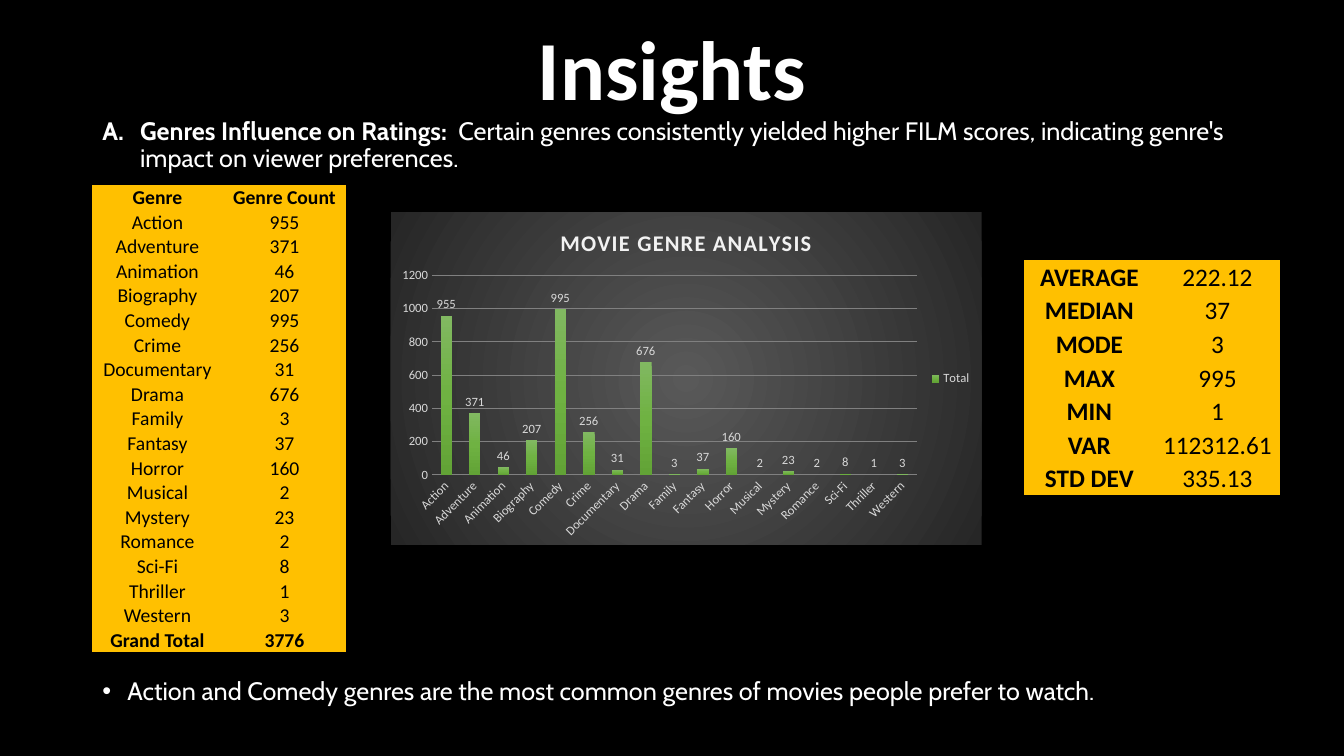
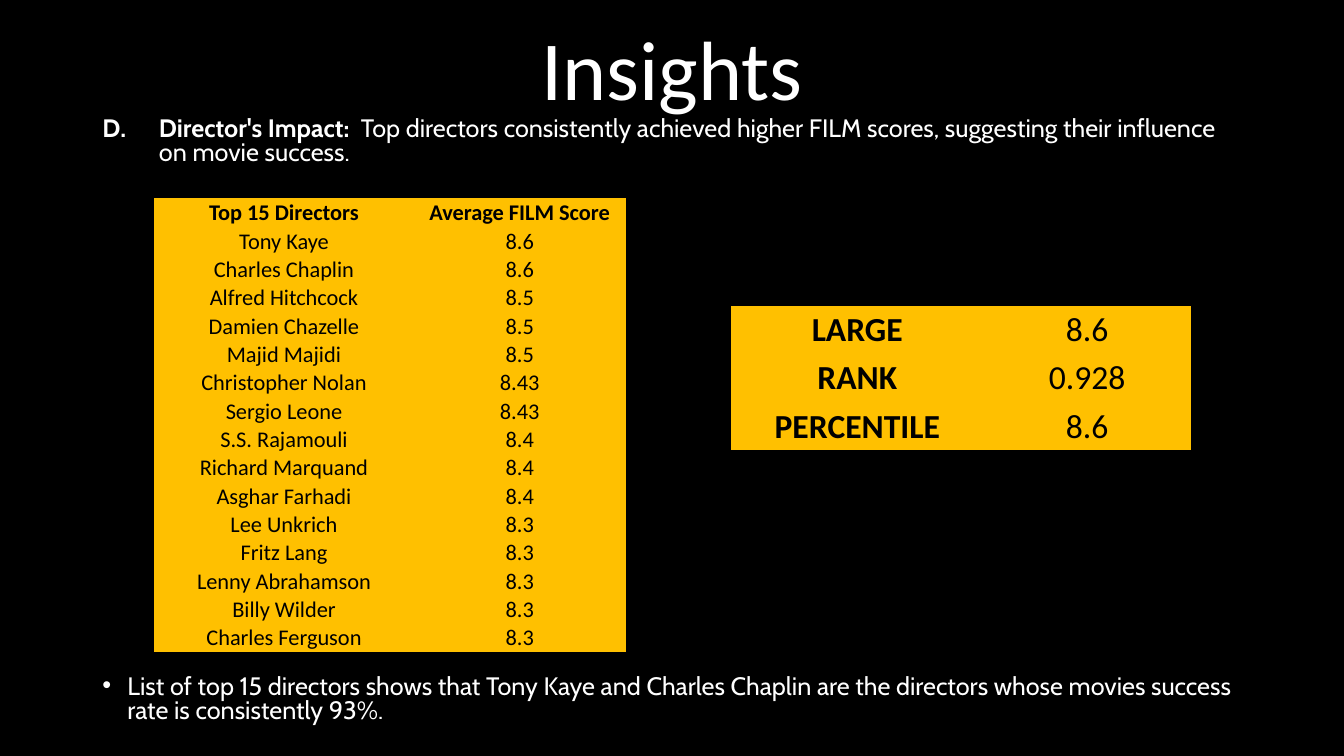
from dataclasses import dataclass
from typing import Any

from lxml import etree
from pptx import Presentation, util as u
from pptx.chart.data import CategoryChartData
from pptx.dml.color import RGBColor
from pptx.enum import chart as charts, text
from pptx.oxml import ns

EMU_PER_PX = 9525
SLIDE_SIZE = (1280, 720)
TITLE_BOX = (88, 0, 1104, 139)
BODY_BOX = (88, 108, 1104, 594)
CHART_BOX = (372, 202, 563, 317)

BLACK = RGBColor(0x00, 0x00, 0x00)
WHITE = RGBColor(0xFF, 0xFF, 0xFF)
AMBER = RGBColor(0xFF, 0xC0, 0x00)
GRID_GREY = RGBColor(0x80, 0x80, 0x80)
LABEL_GREY = RGBColor(0xD9, 0xD9, 0xD9)
TITLE_GREY = RGBColor(0xF2, 0xF2, 0xF2)
BAR_STOPS = {
    0: RGBColor(0x81, 0xB8, 0x61),
    50: RGBColor(0x6F, 0xB2, 0x42),
    100: RGBColor(0x62, 0xA3, 0x36),
}
CHART_STOPS = {0: RGBColor(0x59, 0x59, 0x59), 100: RGBColor(0x26, 0x26, 0x26)}

HEADING_FONT = "Calibri"
BODY_FONT = "Cabin"
NO_GRID_STYLE = "{2D5ABB26-0587-4C30-8999-92F81FD0307C}"

GENRES = {
    "Action": 955, "Adventure": 371, "Animation": 46, "Biography": 207,
    "Comedy": 995, "Crime": 256, "Documentary": 31, "Drama": 676,
    "Family": 3, "Fantasy": 37, "Horror": 160, "Musical": 2, "Mystery": 23,
    "Romance": 2, "Sci-Fi": 8, "Thriller": 1, "Western": 3,
}
DIRECTORS = {
    "Tony Kaye": "8.6", "Charles Chaplin": "8.6", "Alfred Hitchcock": "8.5",
    "Damien Chazelle": "8.5", "Majid Majidi": "8.5",
    "Christopher Nolan": "8.43", "Sergio Leone": "8.43",
    "S.S. Rajamouli": "8.4", "Richard Marquand": "8.4",
    "Asghar Farhadi": "8.4", "Lee Unkrich": "8.3", "Fritz Lang": "8.3",
    "Lenny Abrahamson": "8.3", "Billy Wilder": "8.3",
    "Charles Ferguson": "8.3",
}
GENRE_STATISTICS = {
    "AVERAGE": "222.12", "MEDIAN": "37", "MODE": "3", "MAX": "995",
    "MIN": "1", "VAR": "112312.61", "STD DEV": "335.13",
}
DIRECTOR_STATISTICS = {"LARGE": "8.6", "RANK": "0.928", "PERCENTILE": "8.6"}


@dataclass(frozen=True)
class Table:
    left: int
    top: int
    column_widths: tuple[int, int]
    row_height: int
    size: int
    rows: list[tuple[Any, Any]]
    bold_rows: tuple[int, ...] = ()
    bold_columns: tuple[int, ...] = ()


@dataclass(frozen=True)
class Insight:
    letter: int
    heading: str
    statement: str
    takeaway: str
    indent: int
    takeaway_gap: int
    line_spacing: float
    bold_title: bool
    tables: tuple[Table, ...]


INSIGHTS = (
    Insight(
        1,
        "Genres Influence on Ratings:",
        "  Certain genres consistently yielded higher FILM scores, "
        "indicating genre's impact on viewer preferences.",
        "Action and Comedy genres are the most common genres of movies "
        "people prefer to watch.",
        indent=36, takeaway_gap=482, line_spacing=0.9, bold_title=True,
        tables=(
            Table(88, 176, (124, 118), 23, 14,
                  [("Genre", "Genre Count"), *GENRES.items(),
                   ("Grand Total", sum(GENRES.values()))],
                  bold_rows=(0, len(GENRES) + 1)),
            Table(975, 248, (125, 119), 32, 18,
                  list(GENRE_STATISTICS.items()), bold_columns=(0,)),
        ),
    ),
    Insight(
        4,
        "Director's Impact:",
        "  Top directors consistently achieved higher FILM scores, "
        "suggesting their influence on movie success.",
        "List of top 15 directors shows that Tony Kaye and Charles Chaplin "
        "are the directors whose movies success rate is consistently 93%.",
        indent=54, takeaway_gap=485, line_spacing=0.8, bold_title=False,
        tables=(
            Table(147, 189, (247, 202), 27, 16,
                  [("Top 15 Directors", "Average FILM Score"),
                   *DIRECTORS.items()],
                  bold_rows=(0,)),
            Table(696, 291, (241, 197), 46, 24,
                  list(DIRECTOR_STATISTICS.items()), bold_columns=(0,)),
        ),
    ),
)


def px(value: int) -> u.Emu:
    return u.Emu(value * EMU_PER_PX)


def place(box: tuple[int, ...]) -> list[u.Emu]:
    return [px(value) for value in box]


def set_all(target: Any, values: dict[str, Any]) -> None:
    for name, value in values.items():
        setattr(target, name, value)


def style_font(font: Any, name: str, size: int, color: RGBColor,
               bold: bool = False) -> None:
    set_all(font, {"name": name, "size": u.Pt(size), "bold": bold})
    font.color.rgb = color


def add_run(paragraph: Any, words: str, *style: Any) -> None:
    run = paragraph.add_run()
    run.text = words
    style_font(run.font, *style)


def add_child(parent: Any, tag: str, **attributes: Any) -> Any:
    return etree.SubElement(parent, ns.qn(tag),
                            {key: str(value) for key, value in attributes.items()})


def add_gradient(properties: Any, stops: dict[int, RGBColor]) -> Any:
    gradient = add_child(properties, "a:gradFill", rotWithShape=1)
    stop_list = add_child(gradient, "a:gsLst")
    for percent, color in stops.items():
        stop = add_child(stop_list, "a:gs", pos=percent * 1000)
        add_child(stop, "a:srgbClr", val=color)
    return gradient


def hang(paragraph: Any, indent: int) -> Any:
    """Give the paragraph a hanging indent and return its properties."""
    properties = paragraph._p.get_or_add_pPr()
    properties.set("marL", str(px(indent)))
    properties.set("indent", str(-px(indent)))
    return properties


def add_title(slide: Any, bold: bool) -> None:
    frame = slide.shapes.add_textbox(*place(TITLE_BOX)).text_frame
    set_all(frame, {"word_wrap": True,
                    "vertical_anchor": text.MSO_ANCHOR.MIDDLE})
    paragraph = frame.paragraphs[0]
    set_all(paragraph, {"alignment": text.PP_ALIGN.CENTER,
                        "line_spacing": 0.9})
    add_run(paragraph, "Insights", HEADING_FONT, 60, WHITE, bold)


def add_body(slide: Any, insight: Insight) -> None:
    frame = slide.shapes.add_textbox(*place(BODY_BOX)).text_frame
    frame.word_wrap = True
    statement, takeaway = frame.paragraphs[0], frame.add_paragraph()
    for paragraph in (statement, takeaway):
        paragraph.line_spacing = insight.line_spacing
    takeaway.space_before = px(insight.takeaway_gap)

    add_child(hang(statement, insight.indent), "a:buAutoNum",
              type="alphaUcPeriod", startAt=insight.letter)
    bullet = hang(takeaway, 24)
    add_child(bullet, "a:buFont", typeface="Arial")
    add_child(bullet, "a:buChar", char="•")

    add_run(statement, insight.heading, BODY_FONT, 18, WHITE, True)
    add_run(statement, insight.statement, BODY_FONT, 18, WHITE)
    add_run(takeaway, insight.takeaway, BODY_FONT, 18, WHITE)


def add_table(slide: Any, table: Table) -> None:
    box = (table.left, table.top, sum(table.column_widths),
           table.row_height * len(table.rows))
    grid = slide.shapes.add_table(len(table.rows), 2, *place(box)).table
    set_all(grid, {"first_row": False, "horz_banding": False})
    grid._tbl.tblPr.find(ns.qn("a:tableStyleId")).text = NO_GRID_STYLE
    for column, width in zip(grid.columns, table.column_widths):
        column.width = px(width)
    for row_index, row in enumerate(table.rows):
        for column_index, value in enumerate(row):
            cell = grid.cell(row_index, column_index)
            set_all(cell, {"margin_left": px(1), "margin_right": px(1),
                           "margin_top": px(1), "margin_bottom": 0,
                           "vertical_anchor": text.MSO_ANCHOR.MIDDLE})
            cell.fill.solid()
            cell.fill.fore_color.rgb = AMBER
            paragraph = cell.text_frame.paragraphs[0]
            paragraph.alignment = text.PP_ALIGN.CENTER
            bold = (row_index in table.bold_rows
                    or column_index in table.bold_columns)
            add_run(paragraph, str(value), HEADING_FONT, table.size, BLACK, bold)


def set_plot_area(chart: Any, **fractions: float) -> None:
    """Fix the inner plot area as fractions of the chart."""
    plot_area = chart._chartSpace.chart.plotArea
    for automatic in plot_area.findall(ns.qn("c:layout")):
        plot_area.remove(automatic)
    layout = etree.Element(ns.qn("c:layout"))
    plot_area.insert(0, layout)
    manual = add_child(layout, "c:manualLayout")
    settings = {"layoutTarget": "inner", "xMode": "edge", "yMode": "edge"}
    for name, value in (settings | fractions).items():
        add_child(manual, f"c:{name}", val=value)


def add_genre_chart(slide: Any) -> None:
    data = CategoryChartData()
    data.categories = list(GENRES)
    data.add_series("Total", list(GENRES.values()))
    chart = slide.shapes.add_chart(charts.XL_CHART_TYPE.COLUMN_CLUSTERED,
                                   *place(CHART_BOX), data).chart
    style_font(chart.font, HEADING_FONT, 10, WHITE)

    area = etree.Element(ns.qn("c:spPr"))
    chart._chartSpace.chart.addnext(area)
    gradient = add_gradient(area, CHART_STOPS)
    circle = add_child(gradient, "a:path", path="circle")
    add_child(circle, "a:fillToRect", l=50000, t=50000, r=50000, b=50000)
    add_child(add_child(area, "a:ln"), "a:noFill")

    paragraph = chart.chart_title.text_frame.paragraphs[0]
    add_run(paragraph, "MOVIE GENRE ANALYSIS", HEADING_FONT, 16, TITLE_GREY, True)
    paragraph.runs[0].font._element.set("spc", "100")
    chart.chart_title.include_in_layout = False
    set_plot_area(chart, x=0.07, y=0.19, w=0.82, h=0.6)

    chart.has_legend = True
    set_all(chart.legend, {"position": charts.XL_LEGEND_POSITION.RIGHT,
                           "include_in_layout": False})
    plot = chart.plots[0]
    set_all(plot, {"gap_width": 150, "vary_by_categories": False,
                   "has_data_labels": True})
    set_all(plot.data_labels,
            {"show_value": True,
             "position": charts.XL_LABEL_POSITION.OUTSIDE_END})

    for axis in (chart.category_axis, chart.value_axis):
        set_all(axis, {"major_tick_mark": charts.XL_TICK_MARK.NONE,
                       "minor_tick_mark": charts.XL_TICK_MARK.NONE})
        axis.format.line.fill.background()
    for labelled in (chart.category_axis.tick_labels,
                     chart.value_axis.tick_labels,
                     chart.legend, plot.data_labels):
        style_font(labelled.font, HEADING_FONT, 9, LABEL_GREY)
    label_text = chart.category_axis._element.find(ns.qn("c:txPr"))
    label_text.find(ns.qn("a:bodyPr")).set("rot", str(-45 * 60000))

    set_all(chart.value_axis, {"minimum_scale": 0, "maximum_scale": 1200,
                               "major_unit": 200, "has_major_gridlines": True})
    grid_line = chart.value_axis.major_gridlines.format.line
    grid_line.width = u.Pt(0.75)
    grid_line.color.rgb = GRID_GREY

    series = plot.series[0]
    series.invert_if_negative = False
    bars = add_gradient(series._element.get_or_add_spPr(), BAR_STOPS)
    add_child(bars, "a:lin", ang=90 * 60000, scaled=0)


def main() -> None:
    presentation = Presentation()
    presentation.slide_width, presentation.slide_height = place(SLIDE_SIZE)
    background = presentation.slide_master.background.fill
    background.solid()
    background.fore_color.rgb = BLACK
    slides = []
    for insight in INSIGHTS:
        slide = presentation.slides.add_slide(presentation.slide_layouts[6])
        add_title(slide, insight.bold_title)
        add_body(slide, insight)
        for table in insight.tables:
            add_table(slide, table)
        slides.append(slide)
    add_genre_chart(slides[0])
    presentation.save("out.pptx")


if __name__ == "__main__":
    main()
